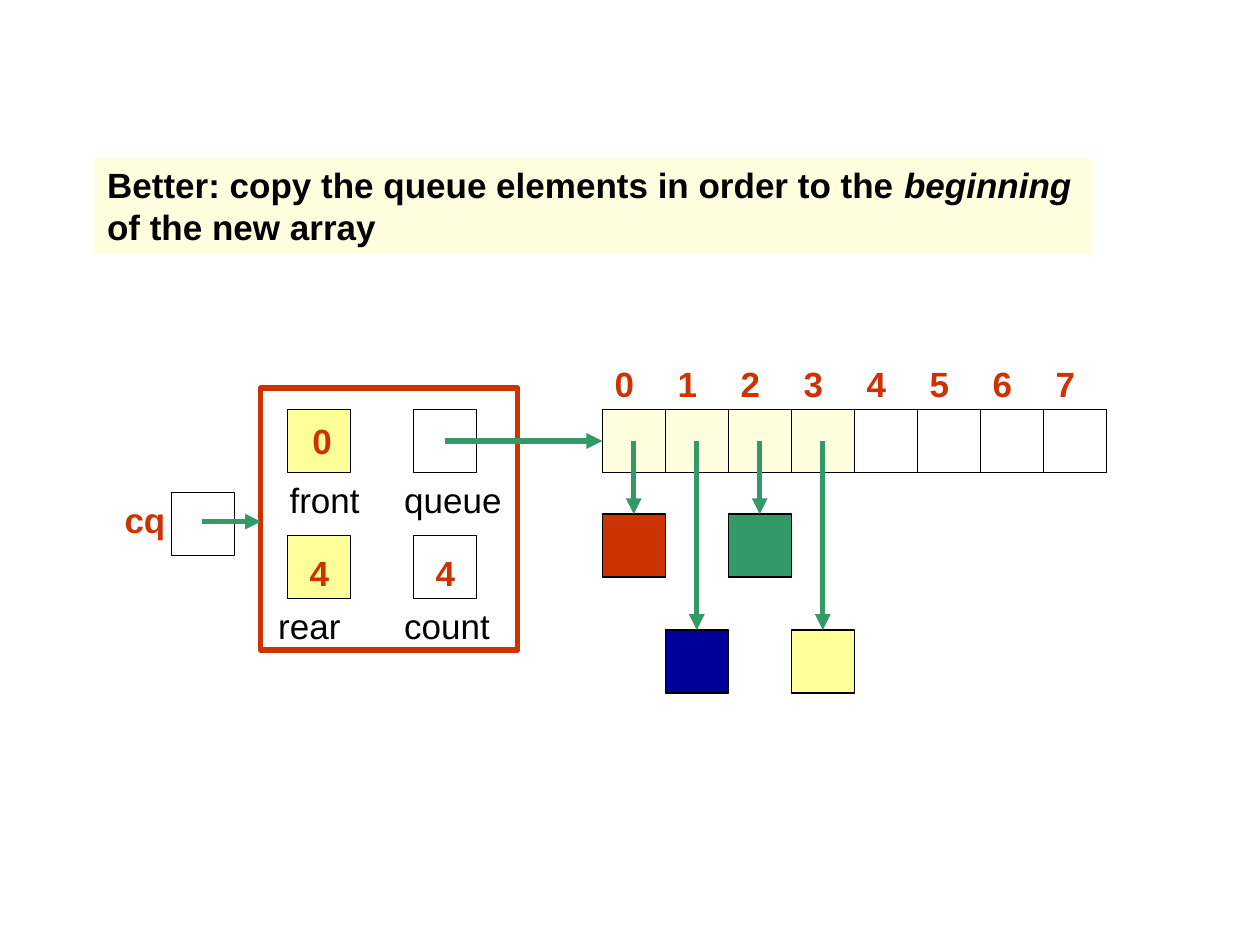
import pptx
import pptx.util
import pptx.dml.color
import pptx.enum.shapes
import pptx.enum.text
import pptx.oxml.ns
import lxml.etree

RED, GREEN, BLUE = "CC3300", "339966", "000099"
YELLOW, CREAM, BLACK = "FFFF99", "FFFFDF", "000000"


def tint(code):
    return pptx.dml.color.RGBColor.from_string(code)


class Board:
    """Draws on one slide, on a grid of half-inch cells."""

    cell, left, top = 0.5, 0.28, 0.25
    font = {"name": "Arial", "size": pptx.util.Pt(20)}
    frame = {
        "word_wrap": True,
        "auto_size": pptx.enum.text.MSO_AUTO_SIZE.NONE,
        "vertical_anchor": pptx.enum.text.MSO_ANCHOR.TOP,
    }

    def __init__(self, deck):
        self.slide = deck.slides.add_slide(deck.slide_layouts[5])
        self.shapes = self.slide.shapes

    def spot(self, col, row):
        return (pptx.util.Inches(self.left + self.cell * col),
                pptx.util.Inches(self.top + self.cell * row))

    def area(self, col, row, wide, high):
        size = [pptx.util.Inches(self.cell * n) for n in (wide, high)]
        return *self.spot(col, row), *size

    def words(self, frame, runs, color, bold):
        for key, value in self.frame.items():
            setattr(frame, key, value)
        para = frame.paragraphs[0]
        para.alignment = pptx.enum.text.PP_ALIGN.LEFT
        for text, slant in runs:
            run = para.add_run()
            run.text = text
            style = {**self.font, "bold": bold, "italic": slant}
            for key, value in style.items():
                setattr(run.font, key, value)
            run.font.color.rgb = tint(color)

    def title(self, runs, *place):
        shape = self.shapes.title
        names = ("left", "top", "width", "height")
        for key, value in zip(names, self.area(*place)):
            setattr(shape, key, value)
        shape.fill.solid()
        shape.fill.fore_color.rgb = tint(CREAM)
        self.words(shape.text_frame, runs, BLACK, True)

    def box(self, col, row, fill=None, wide=1, high=1, line=BLACK, weight=0.75):
        kind = pptx.enum.shapes.MSO_SHAPE.RECTANGLE
        shape = self.shapes.add_shape(kind, *self.area(col, row, wide, high))
        shape.shadow.inherit = False
        if fill:
            shape.fill.solid()
            shape.fill.fore_color.rgb = tint(fill)
        else:
            shape.fill.background()
        shape.line.color.rgb = tint(line)
        shape.line.width = pptx.util.Pt(weight)

    def label(self, text, col, row, wide=0.78, color=RED, bold=True):
        shape = self.shapes.add_textbox(*self.area(col, row, wide, 0.86))
        self.words(shape.text_frame, [(text, False)], color, bold)

    def arrow(self, start, end):
        kind = pptx.enum.shapes.MSO_CONNECTOR.STRAIGHT
        link = self.shapes.add_connector(kind, *self.spot(*start), *self.spot(*end))
        link.line.color.rgb = tint(GREEN)
        link.line.width = pptx.util.Pt(3)
        name = pptx.oxml.ns.qn
        props = link.element.spPr
        lxml.etree.SubElement(props.find(name("a:ln")), name("a:tailEnd"), type="triangle")
        lxml.etree.SubElement(props, name("a:effectLst"))


def main():
    deck = pptx.Presentation()
    deck.slide_width = pptx.util.Inches(10)
    deck.slide_height = pptx.util.Inches(7.5)
    board = Board(deck)

    board.title([("Better: copy the queue elements in order to the ", False),
                 ("beginning", True), (" of the new array", False)],
                0.94, 2, 15.84, 1.54)

    board.box(3.58, 5.66, wide=4.08, high=4.16, line=RED, weight=3)
    fields = [("front", 4, 6, YELLOW, 3.84), ("queue", 6, 6, None, 5.66),
              ("rear", 4, 8, YELLOW, 3.66), ("count", 6, 8, None, 5.66)]
    for name, col, row, fill, edge in fields:
        board.box(col, row, fill)
        board.label(name, edge, row + 1, 2, BLACK, False)
    for text, col, row in [("0", 4.2, 6.06), ("4", 4.16, 8.16), ("4", 6.16, 8.16)]:
        board.label(text, col, row)

    first, used = 9, 4
    for i in range(8):
        board.box(first + i, 6, CREAM if i < used else None)
        board.label(str(i), first + i, 5.16)
    for i, fill in enumerate([RED, BLUE, GREEN, YELLOW]):
        row = 9.5 if i % 2 else 7.66
        board.box(first + i, row, fill)
        board.arrow((first + i + 0.5, 6.5), (first + i + 0.5, row))
    board.arrow((6.5, 6.5), (first, 6.5))

    board.label("cq", 1.22, 7.32, 1.88)
    board.box(2.16, 7.32)
    board.arrow((2.64, 7.78), (3.58, 7.78))
    deck.save("out.pptx")


if __name__ == "__main__":
    main()
